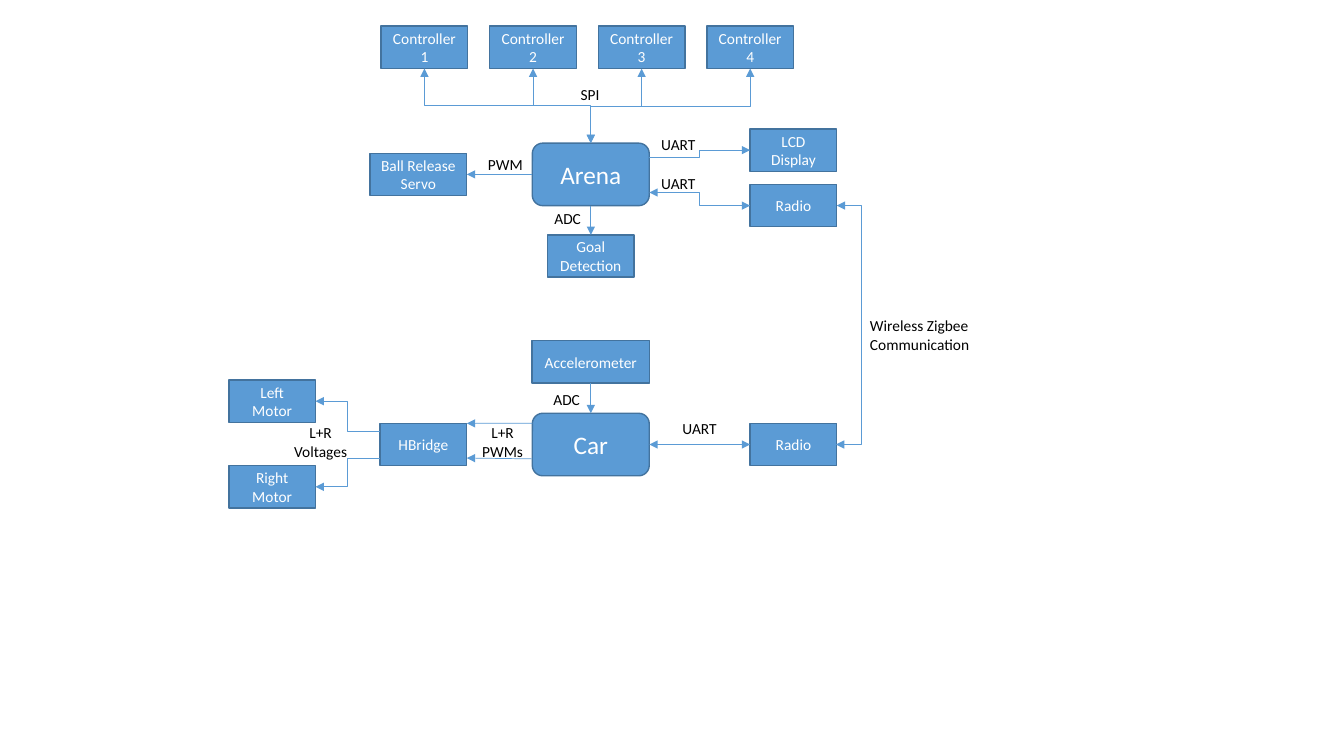
"""Build the block diagram of an arena and a car linked by wireless radios."""
from dataclasses import dataclass

from lxml import etree
from pptx import Presentation
from pptx import util as u
from pptx.dml.color import RGBColor
from pptx.enum import shapes, text
from pptx.oxml.ns import qn


@dataclass(frozen=True)
class Theme:
    font: str = "Calibri"
    fill: str = "5B9BD5"
    edge: str = "43739E"
    light: str = "FFFFFF"
    dark: str = "000000"
    hub_size: int = 18
    body_size: int = 11
    edge_width: float = 1
    link_width: float = 0.5


THEME = Theme()
WIDTH, HEIGHT = 13.33, 7.5
COLUMNS = {"motor": 2.7, "bridge": 4.2, "servo": 4.15, "hub": 5.86, "radio": 7.87}
ROWS = {"controller": 0.47, "lcd": 1.49, "arena": 1.73, "radio": 2.04, "goal": 2.54,
        "sensor": 3.59, "left": 3.98, "car": 4.41, "right": 4.83}
SIZES = {"block": (0.86, 0.42), "servo": (0.96, 0.42), "sensor": (1.17, 0.42),
         "hub": (1.16, 0.62)}
CONTROLLER_START, CONTROLLER_STEP = 4.21, 1.077
BUS_DROP = 1.88
WIRELESS_REACH = 0.25

BLOCKS = {
    "arena": ("Arena", "hub", "arena", "hub"),
    "goal": ("Goal Detection", "hub", "goal", "block"),
    "servo": ("Ball Release Servo", "servo", "arena", "servo"),
    "arena radio": ("Radio", "radio", "radio", "block"),
    "lcd": ("LCD Display", "radio", "lcd", "block"),
    "car": ("Car", "hub", "car", "hub"),
    "car radio": ("Radio", "radio", "car", "block"),
    "sensor": ("Accelerometer", "hub", "sensor", "sensor"),
    "bridge": ("HBridge", "bridge", "car", "block"),
    "left": ("Left Motor", "motor", "left", "block"),
    "right": ("Right Motor", "motor", "right", "block"),
}
CONTROLLERS = ["Controller 1", "Controller 2", "Controller 3", "Controller 4"]

LINKS = [
    ("straight", ("sensor", 0.5, 1), ("car", 0.5, 0), False),
    ("straight", ("car", 0, 0.16), ("bridge", 1, 0), False),
    ("straight", ("car", 0, 0.73), ("bridge", 1, 0.82), False),
    ("across", ("bridge", 0, 0.18), ("left", 1, 0.5), False),
    ("across", ("bridge", 0, 0.82), ("right", 1, 0.5), False),
    ("straight", ("car radio", 0, 0.5), ("car", 1, 0.5), True),
    ("straight", ("arena", 0, 0.5), ("servo", 1, 0.5), False),
    ("straight", ("arena", 0.5, 1), ("goal", 0.5, 0), False),
    ("across", ("arena", 1, 0.23), ("lcd", 0, 0.5), False),
    ("across", ("arena", 1, 0.79), ("arena radio", 0, 0.5), True),
    ("around", ("car radio", 0.99, 0.5), ("arena radio", 1, 0.5), True),
    ("upward", ("arena", 0.5, 0), ("Controller 1", 0.5, 1), True),
    ("straight", ("Controller 2", 0.5, BUS_DROP), ("Controller 2", 0.5, 1), False),
    ("straight", ("Controller 3", 0.5, BUS_DROP), ("Controller 3", 0.5, 1), False),
    ("upward", ("arena", 0.5, 0), ("Controller 4", 0.5, 1), True),
]

LABELS = [
    (["SPI"], 5.66, 0.79, 0.39, "LEFT"),
    (["ADC"], 5.4, 2.03, 0.47, "LEFT"),
    (["PWM"], 4.74, 1.49, 0.55, "LEFT"),
    (["UART"], 6.46, 1.29, 0.55, "LEFT"),
    (["UART"], 6.46, 1.68, 0.55, "LEFT"),
    (["Wireless Zigbee", "Communication"], 8.53, 3.09, 1.19, "LEFT"),
    (["UART"], 6.67, 4.11, 0.55, "LEFT"),
    (["ADC"], 5.39, 3.82, 0.47, "LEFT"),
    (["L+R", "PWMs"], 4.68, 4.15, 0.61, "CENTER"),
    (["L+R", "Voltages"], 2.81, 4.15, 0.74, "CENTER"),
]


def color(value):
    return RGBColor.from_string(value)


def write(frame, lines, size, ink, align):
    para = frame.paragraphs[0]
    para.alignment = align
    for index, line in enumerate(lines):
        if index:
            para.add_line_break()
        span = para.add_run()
        span.text = line
        span.font.name = THEME.font
        span.font.size = u.Pt(size)
        span.font.color.rgb = color(ink)


def add_block(page, caption, x, y, kind):
    width, height = SIZES[kind]
    area = (x - width / 2, y - height / 2, width, height)
    hub = kind == "hub"
    preset = shapes.MSO_SHAPE.ROUNDED_RECTANGLE if hub else shapes.MSO_SHAPE.RECTANGLE
    box = page.shapes.add_shape(preset, *map(u.Inches, area))
    box.shadow.inherit = False
    box.fill.solid()
    box.fill.fore_color.rgb = color(THEME.fill)
    box.line.color.rgb = color(THEME.edge)
    box.line.width = u.Pt(THEME.edge_width)
    box.text_frame.word_wrap = True
    box.text_frame.vertical_anchor = text.MSO_ANCHOR.MIDDLE
    size = THEME.hub_size if hub else THEME.body_size
    write(box.text_frame, [caption], size, THEME.light, text.PP_ALIGN.CENTER)
    return area


def add_label(page, lines, left, top, width, align):
    height = 0.11 + 0.18 * len(lines)
    box = page.shapes.add_textbox(*map(u.Inches, (left, top, width, height)))
    box.text_frame.word_wrap = False
    box.text_frame.auto_size = text.MSO_AUTO_SIZE.SHAPE_TO_FIT_TEXT
    write(box.text_frame, lines, THEME.body_size, THEME.dark, text.PP_ALIGN[align])


def add_link(page, route, start, end, both_ways):
    (x1, y1), (x2, y2) = start, end
    if route == "upward":
        mid_x, mid_y = (x1 + x2) / 2, (y1 + y2) / 2
        half_x, half_y = (x2 - x1) / 2, abs(y2 - y1) / 2
        ends = (mid_x - half_y, mid_y - half_x, mid_x + half_y, mid_y + half_x)
    else:
        ends = (x1, y1, x2, y2)
    kind = shapes.MSO_CONNECTOR.STRAIGHT if route == "straight" else shapes.MSO_CONNECTOR.ELBOW
    link = page.shapes.add_connector(kind, *map(u.Inches, ends))
    link.line.color.rgb = color(THEME.fill)
    link.line.width = u.Pt(THEME.link_width)
    props = link._element.spPr
    if route == "upward":
        props.find(qn("a:xfrm")).set("rot", str(270 * 60000))
    if route == "around":
        bend = round(100000 * WIRELESS_REACH / (x2 - x1))
        guides = props.find(qn("a:prstGeom")).find(qn("a:avLst"))
        etree.SubElement(guides, qn("a:gd"), name="adj1", fmla=f"val {bend}")
    outline = props.find(qn("a:ln"))
    for tag in ("a:headEnd", "a:tailEnd") if both_ways else ("a:tailEnd",):
        etree.SubElement(outline, qn(tag), type="triangle")
    etree.SubElement(props, qn("a:effectLst"))


def main():
    deck = Presentation()
    deck.slide_width, deck.slide_height = u.Inches(WIDTH), u.Inches(HEIGHT)
    page = deck.slides.add_slide(deck.slide_layouts[6])
    areas = {}
    for name, (caption, column, row, kind) in BLOCKS.items():
        areas[name] = add_block(page, caption, COLUMNS[column], ROWS[row], kind)
    for index, name in enumerate(CONTROLLERS):
        x = CONTROLLER_START + index * CONTROLLER_STEP
        areas[name] = add_block(page, name, x, ROWS["controller"], "block")

    def point(name, across, down):
        left, top, width, height = areas[name]
        return left + across * width, top + down * height

    for route, start, end, both_ways in LINKS:
        add_link(page, route, point(*start), point(*end), both_ways)
    for label in LABELS:
        add_label(page, *label)
    deck.save("out.pptx")


if __name__ == "__main__":
    main()
